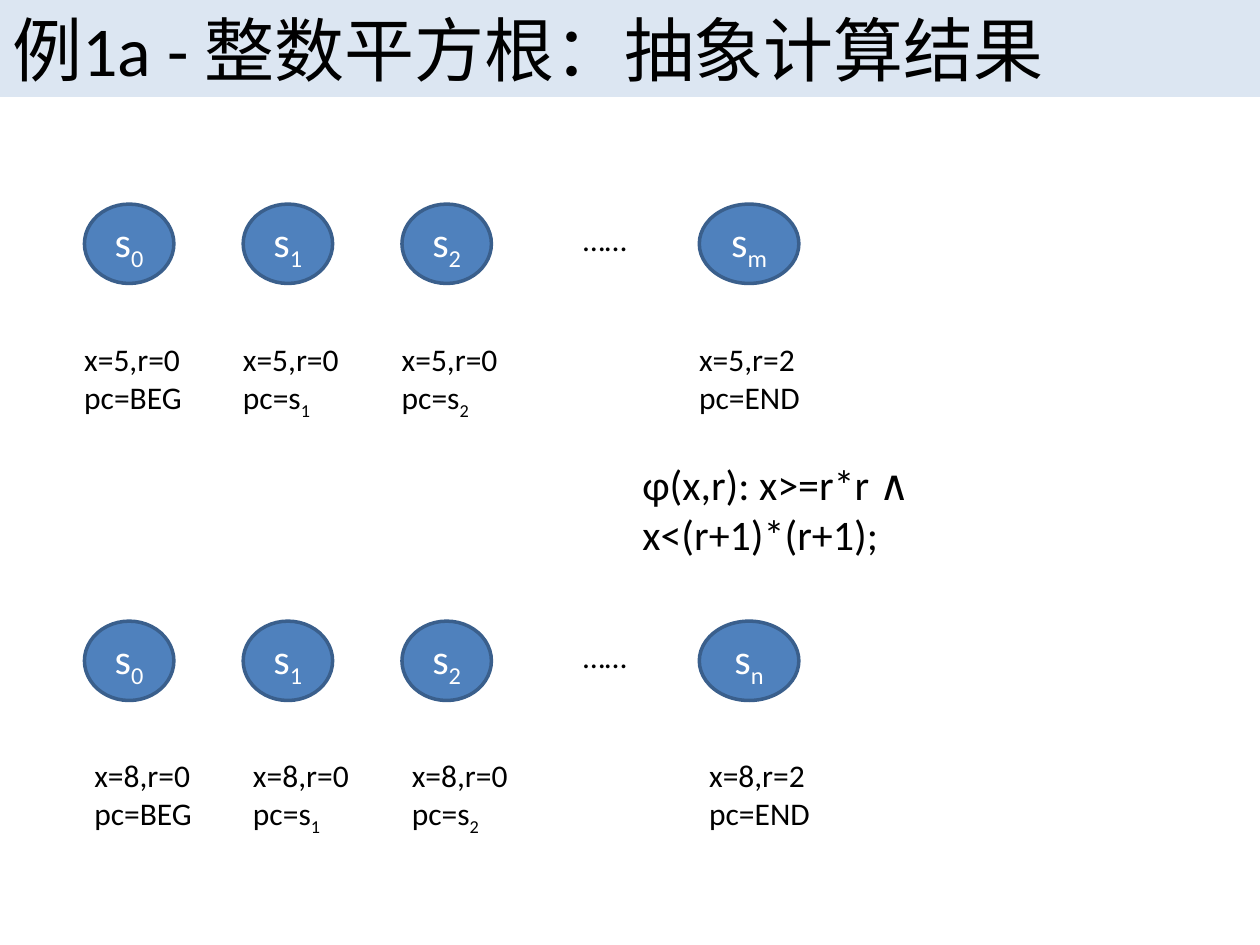
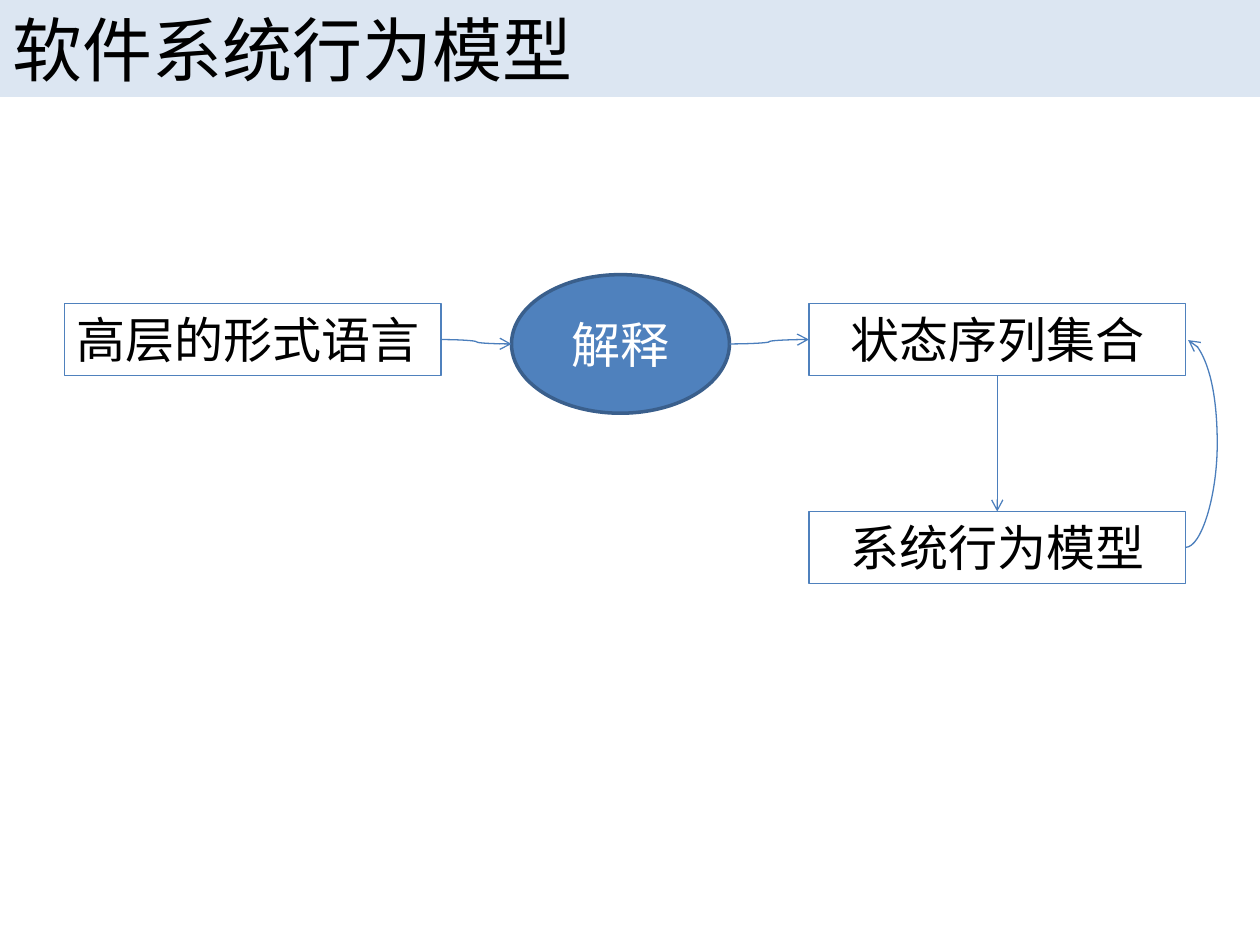
"""Build two slides on abstract computation results and the software behaviour model."""
from lxml.etree import SubElement
from pptx import Presentation
from pptx.dml.color import RGBColor
from pptx.enum.shapes import MSO_CONNECTOR, MSO_SHAPE
from pptx.enum.text import MSO_ANCHOR, MSO_AUTO_SIZE, PP_ALIGN
from pptx.oxml.ns import qn
from pptx.util import Inches, Pt

COLORS = {"band": "DCE6F2", "node": "4F81BD", "node_line": "3A5F8C",
          "arrow": "4B7EBC", "text": "000000", "node_text": "FFFFFF"}
FRAME = {"word_wrap": True, "auto_size": MSO_AUTO_SIZE.NONE}
FONT = {"name": "Calibri", "bold": False}
STATE_LEFTS = [0.67, 1.93, 3.19, 5.55]


def color(key):
    return RGBColor.from_string(COLORS[key])


def set_attrs(obj, values):
    for name, value in values.items():
        setattr(obj, name, value)


def set_fill(sp, key):
    sp.fill.solid()
    sp.fill.fore_color.rgb = color(key)


def set_line(sp, key, width):
    sp.line.color.rgb = color(key)
    sp.line.width = Pt(width)


def write(sp, lines, size, key="text", align=PP_ALIGN.LEFT, anchor=MSO_ANCHOR.TOP):
    tf = sp.text_frame
    set_attrs(tf, {**FRAME, "vertical_anchor": anchor})
    for i, line in enumerate(lines):
        p = tf.add_paragraph() if i else tf.paragraphs[0]
        p.alignment = align
        for j, part in enumerate(line.split("_")):
            r = p.add_run()
            r.text = part
            set_attrs(r.font, {**FONT, "size": Pt(size)})
            r.font.color.rgb = color(key)
            if j:
                r.font._element.set("baseline", "-25000")


def add_slide(prs, title):
    s = prs.slides.add_slide(prs.slide_layouts[5])
    sp = s.shapes.title
    set_attrs(sp, {"left": 0, "top": 0, "width": prs.slide_width, "height": Inches(0.77)})
    set_fill(sp, "band")
    write(sp, [title], 40)
    return s


def add_text(s, box, lines, size=18):
    sp = s.shapes.add_textbox(*map(Inches, box))
    write(sp, lines, size)


def add_ellipse(s, box, text, size=24):
    sp = s.shapes.add_shape(MSO_SHAPE.OVAL, *map(Inches, box))
    sp.shadow.inherit = False
    set_fill(sp, "node")
    set_line(sp, "node_line", 2)
    write(sp, [text], size, "node_text", PP_ALIGN.CENTER, MSO_ANCHOR.MIDDLE)


def add_box(s, left, top, text, align=PP_ALIGN.CENTER):
    sp = s.shapes.add_shape(MSO_SHAPE.RECTANGLE, *map(Inches, (left, top, 2.99, 0.57)))
    sp.shadow.inherit = False
    sp.fill.background()
    set_line(sp, "node", 0.75)
    write(sp, [text], 28, align=align)
    return sp


def add_arrow(s, start, end, begin=None, finish=None, bulge=None):
    c = s.shapes.add_connector(MSO_CONNECTOR.CURVE, *map(Inches, start + end))
    if begin:
        c.begin_connect(*begin)
    if finish:
        c.end_connect(*finish)
    set_line(c, "arrow", 0.75)
    sppr = c.element.spPr
    SubElement(sppr.find(qn("a:ln")), qn("a:tailEnd"), type="arrow")
    SubElement(sppr, qn("a:effectLst"))
    if bulge:
        geom = sppr.find(qn("a:prstGeom"))
        av = geom.find(qn("a:avLst"))
        av = SubElement(geom, qn("a:avLst")) if av is None else av
        SubElement(av, qn("a:gd"), name="adj1", fmla=f"val {round(bulge * 100000)}")


def add_run_of_states(s, top, last, x, label_left, label_top):
    names = ["s_0", "s_1", "s_2", last]
    counters = ["BEG", "s_1", "s_2", "END"]
    for left, name, pc in zip(STATE_LEFTS, names, counters):
        r, width = (2, 0.79) if pc == "END" else (0, 0.71)
        add_ellipse(s, (left, top, width, 0.63), name)
        add_text(s, (left + label_left, label_top, 1.1, 0.71),
                 [f"x={x},r={r}", f"pc={pc}"])
    add_text(s, (4.53, top + 0.08, 0.8, 0.4), ["……"])


def build_results(prs):
    s = add_slide(prs, "例1a - 整数平方根：抽象计算结果")
    add_run_of_states(s, 1.62, "s_m", 5, -0.1, 2.65)
    add_run_of_states(s, 4.93, "s_n", 8, -0.02, 5.95)
    add_text(s, (5, 3.59, 4.1, 0.9), ["φ(x,r): x>=r*r ∧ x<(r+1)*(r+1);"], 24)


def build_model(prs):
    s = add_slide(prs, "软件系统行为模型")
    language = add_box(s, 0.51, 2.41, "高层的形式语言", PP_ALIGN.LEFT)
    add_ellipse(s, (4.06, 2.18, 1.73, 1.1), "解释", 28)
    sequences = add_box(s, 6.42, 2.41, "状态序列集合")
    model = add_box(s, 6.42, 4.06, "系统行为模型")
    add_arrow(s, (3.5, 2.7), (4.06, 2.73), begin=(language, 3))
    add_arrow(s, (5.79, 2.73), (6.42, 2.7), finish=(sequences, 1))
    add_arrow(s, (7.92, 2.98), (7.92, 4.06), (sequences, 2), (model, 0))
    add_arrow(s, (9.41, 4.35), (9.43, 2.7), begin=(model, 3), bulge=12.5)


def main():
    prs = Presentation()
    prs.slide_width, prs.slide_height = Inches(10), Inches(7.5)
    build_results(prs)
    build_model(prs)
    prs.save("out.pptx")


if __name__ == "__main__":
    main()
